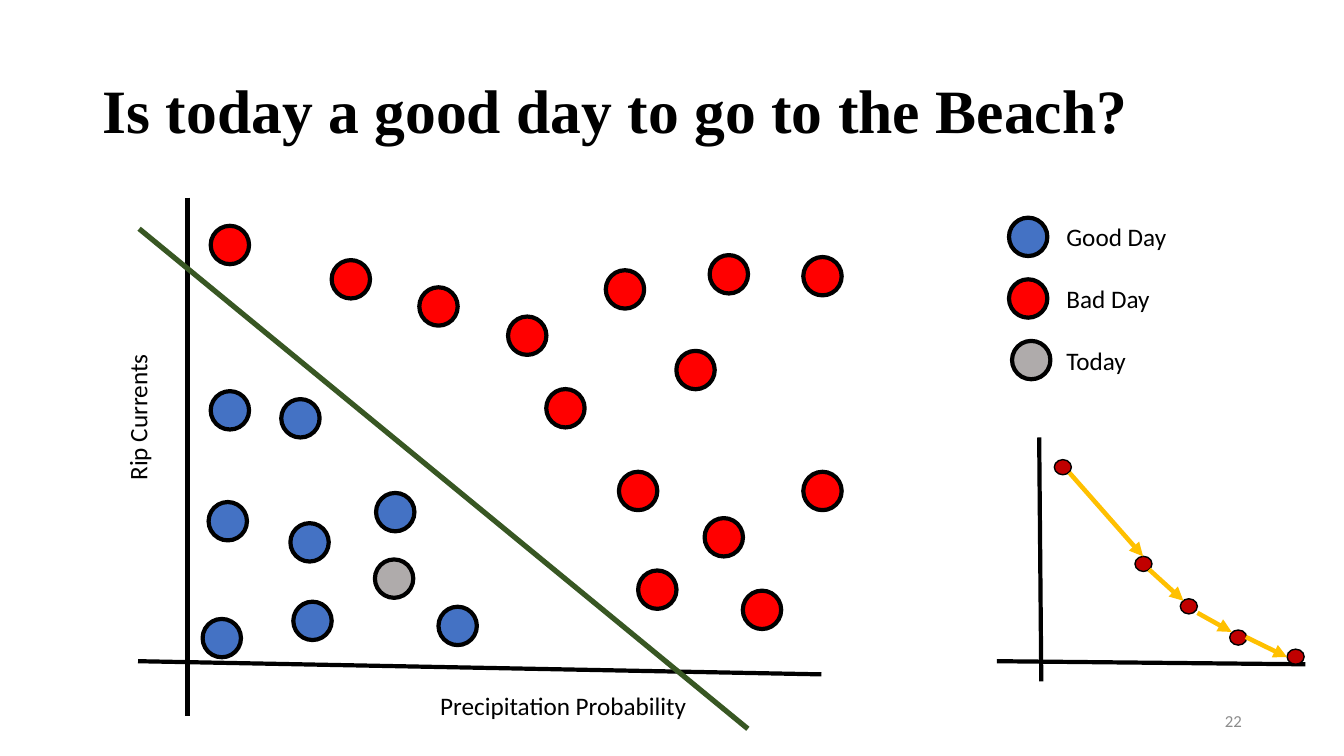
"""Build the beach-day classification slide with its scatter, legend and descent plot."""
from dataclasses import dataclass
from typing import NamedTuple

from lxml.etree import SubElement
from pptx import Presentation
from pptx.dml.color import RGBColor
from pptx.enum.shapes import MSO_CONNECTOR as CONN, MSO_SHAPE as SHAPE
from pptx.enum.text import MSO_ANCHOR as ANCHOR, MSO_AUTO_SIZE as AUTO, PP_ALIGN as ALIGN
from pptx.oxml.ns import qn
from pptx.slide import Slide
from pptx.text.text import TextFrame
from pptx.util import Pt


@dataclass(frozen=True)
class Theme:
    """Colours, fonts and type sizes of the slide."""
    ink: str = "000000"
    good: str = "4472C4"
    bad: str = "FF0000"
    today: str = "AFABAB"
    boundary: str = "385723"
    step: str = "C00000"
    arrow: str = "FFC000"
    muted: str = "8C8C8C"
    title_font: str = "Times New Roman"
    body_font: str = "Calibri"
    title_size: float = 44
    label_size: float = 18
    number_size: float = 12


class Point(NamedTuple):
    """A place on the slide in points."""
    x: float
    y: float


class Dots(NamedTuple):
    """Equal ellipses, given by their top-left corners."""
    color: str
    width: float
    height: float
    border: float
    corners: list[Point]


class Line(NamedTuple):
    """A straight line, optionally with an arrowhead at its end."""
    start: Point
    end: Point
    color: str
    width: float = 3
    arrow: bool = False


class Label(NamedTuple):
    """A one-line text box."""
    text: str
    left: float
    top: float
    width: float
    rotation: float = 0
    size: float = 18
    color: str = "000000"
    align: ALIGN = ALIGN.LEFT
    anchor: ANCHOR = ANCHOR.TOP


T = Theme()
DOT = 27.4
LABEL_HEIGHT = 29
LEGEND_TOP, LEGEND_PITCH, LEGEND_TEXT_LEFT = 155.5, 44, 754.6

BAD_DAYS = [Point(*c) for c in (
    (455.8, 407.5), (503.3, 370.1), (530.6, 421.9), (442.1, 337), (573.8, 337),
    (483.1, 250.6), (299.5, 205.2), (362.9, 226.1), (390.2, 277.9), (573.8, 183.6),
    (432.7, 193), (506.9, 182.2), (150.5, 161.3), (236.9, 185.8))]
GOOD_DAYS = [Point(*c) for c in (
    (150.5, 279.4), (200.9, 285.1), (144.7, 442.1), (149, 358.6),
    (207.4, 373.7), (209.5, 429.8), (268.6, 352.1), (313.2, 433.4))]
TODAY = [Point(267.8, 399.6)]
STEPS = [Point(*c) for c in (
    (753.1, 328.3), (810.7, 397.4), (843.1, 427.7), (878.4, 450), (919.4, 463.7))]

AXES = [
    Line(Point(133.9, 141.1), Point(133.9, 511.2), T.ink),
    Line(Point(586.8, 481.7), Point(98.6, 472.3), T.ink),
]
BOUNDARY = Line(Point(99.4, 163.4), Point(534.2, 520.6), T.boundary, 3.75)
DESCENT_AXES = [
    Line(Point(742.3, 312.5), Point(743.8, 486.7), T.ink),
    Line(Point(932.4, 474.5), Point(712.1, 472.3), T.ink),
]
DESCENT_ARROWS = [Line(Point(*a), Point(*b), T.arrow, 3.25, True) for a, b in (
    ((763.9, 337.7), (816.5, 397.4)), ((820.8, 406.8), (845.3, 429.1)),
    ((855.4, 437.8), (879.8, 451.4)), ((889.9, 455), (919.4, 469.4)))]
LEGEND = [("Good Day", T.good, 720.7), ("Bad Day", T.bad, 720.7), ("Today", T.today, 722.9)]
LABELS = [
    Label("Precipitation Probability", 307.4, 489.6, 197.3),
    Label("Rip Currents", 36.7, 274.3, 123.1, rotation=270),
    Label("22", 678.2, 500.4, 216, size=T.number_size, color=T.muted,
          align=ALIGN.RIGHT, anchor=ANCHOR.MIDDLE),
]


def write(tf: TextFrame, text: str, font: str, size: float, color: str,
          align: ALIGN, anchor: ANCHOR, bold: bool = False) -> None:
    """Fill a text frame with one formatted paragraph."""
    tf.word_wrap = True
    tf.auto_size = AUTO.NONE
    tf.vertical_anchor = anchor
    p = tf.paragraphs[0]
    p.text = text
    p.alignment = align
    p.font.name, p.font.size, p.font.bold = font, Pt(size), bold
    p.font.color.rgb = RGBColor.from_string(color)


def add_title(s: Slide, text: str) -> None:
    """Place and format the title placeholder."""
    sp = s.shapes.title
    sp.left, sp.top, sp.width, sp.height = Pt(66), Pt(28.75), Pt(828), Pt(104.4)
    write(sp.text_frame, text, T.title_font, T.title_size, T.ink,
          ALIGN.LEFT, ANCHOR.MIDDLE, bold=True)
    sp.text_frame.paragraphs[0].line_spacing = 0.9


def add_label(s: Slide, label: Label) -> None:
    """Draw one text label."""
    sp = s.shapes.add_textbox(Pt(label.left), Pt(label.top), Pt(label.width), Pt(LABEL_HEIGHT))
    sp.rotation = label.rotation
    write(sp.text_frame, label.text, T.body_font, label.size, label.color,
          label.align, label.anchor)


def add_dots(s: Slide, dots: Dots) -> None:
    """Draw a group of equal outlined ellipses."""
    for x, y in dots.corners:
        sp = s.shapes.add_shape(SHAPE.OVAL, Pt(x), Pt(y), Pt(dots.width), Pt(dots.height))
        sp.shadow.inherit = False
        sp.fill.solid()
        sp.fill.fore_color.rgb = RGBColor.from_string(dots.color)
        sp.line.color.rgb = RGBColor.from_string(T.ink)
        sp.line.width = Pt(dots.border)


def add_line(s: Slide, line: Line) -> None:
    """Draw one straight line or arrow."""
    cx = s.shapes.add_connector(CONN.STRAIGHT, Pt(line.start.x), Pt(line.start.y),
                                Pt(line.end.x), Pt(line.end.y))
    cx.line.color.rgb = RGBColor.from_string(line.color)
    cx.line.width = Pt(line.width)
    if line.arrow:
        SubElement(cx.line._get_or_add_ln(), qn("a:tailEnd"), type="triangle")
    SubElement(cx._element.spPr, qn("a:effectLst"))


def add_legend(s: Slide) -> None:
    """Draw the legend rows at an even pitch."""
    for i, (text, color, left) in enumerate(LEGEND):
        top = LEGEND_TOP + i * LEGEND_PITCH
        add_dots(s, Dots(color, DOT, DOT, 3, [Point(left, top)]))
        add_label(s, Label(text, LEGEND_TEXT_LEFT, top - 0.7, 143.3))


def main() -> None:
    """Build and save the presentation."""
    prs = Presentation()
    prs.slide_width, prs.slide_height = Pt(960), Pt(540)
    s = prs.slides.add_slide(prs.slide_layouts[5])
    add_title(s, "Is today a good day to go to the Beach?")
    for line in AXES:
        add_line(s, line)
    add_legend(s)
    for color, corners in ((T.bad, BAD_DAYS), (T.good, GOOD_DAYS), (T.today, TODAY)):
        add_dots(s, Dots(color, DOT, DOT, 3, corners))
    for line in (BOUNDARY, *DESCENT_AXES):
        add_line(s, line)
    add_dots(s, Dots(T.step, 12.2, 10.8, 1, STEPS))
    for line in DESCENT_ARROWS:
        add_line(s, line)
    for label in LABELS:
        add_label(s, label)
    prs.save("out.pptx")


if __name__ == "__main__":
    main()
